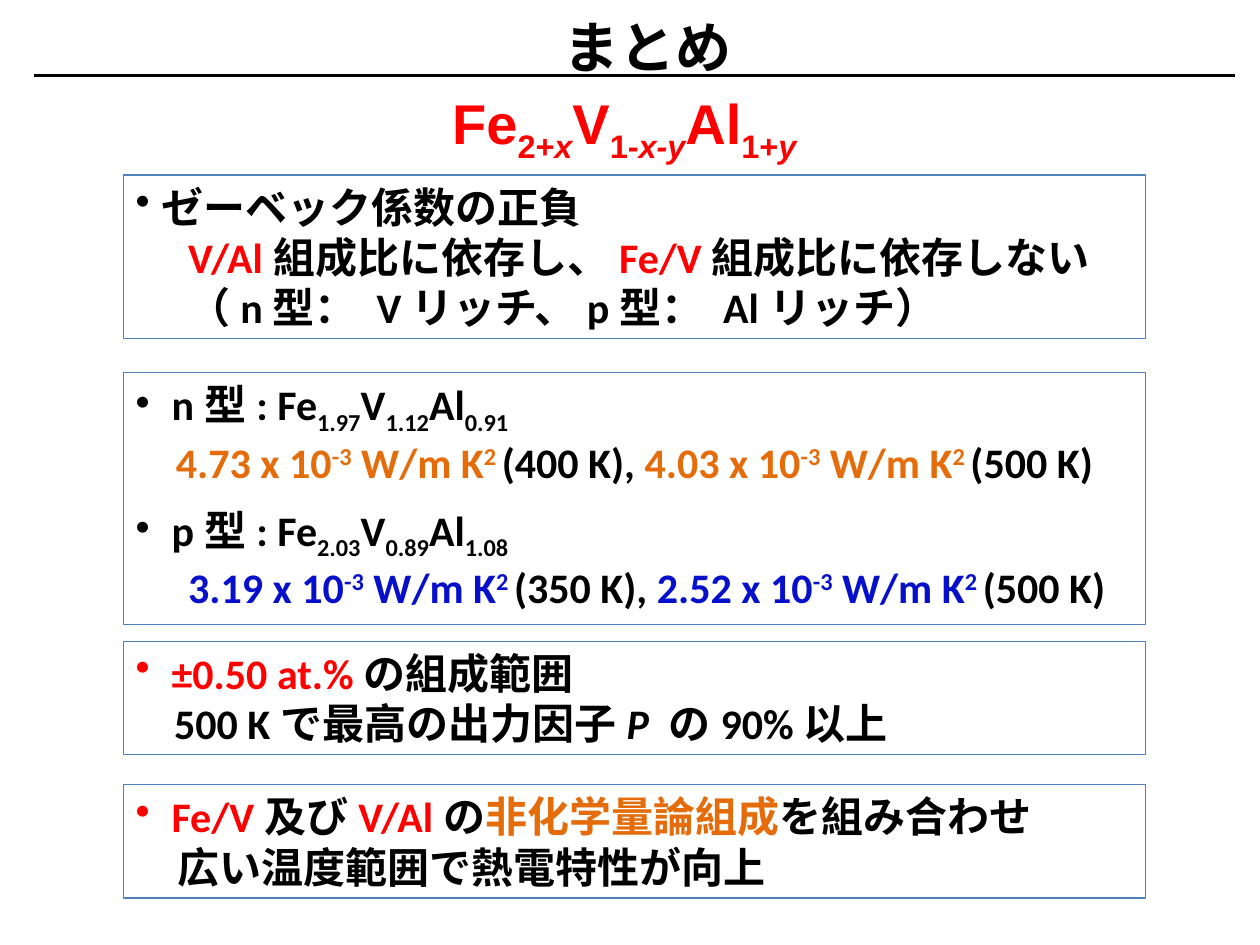
from lxml import etree
from pptx import Presentation
from pptx.dml.color import RGBColor
from pptx.enum.shapes import MSO_CONNECTOR, MSO_SHAPE
from pptx.enum.text import MSO_ANCHOR, PP_ALIGN
from pptx.oxml.ns import qn
from pptx.util import Pt

STRAIGHT = MSO_CONNECTOR.STRAIGHT
RECTANGLE = MSO_SHAPE.RECTANGLE
TOP = MSO_ANCHOR.TOP
LEFT = PP_ALIGN.LEFT

BLACK = "000000"
RED = "FF0000"
ORANGE = "E46C0A"
BLUE = "060FCA"
BORDER = "4F81BD"

SUBSCRIPT = -25000
SUPERSCRIPT = 30000

BOX_LEFT = 70.5
BOX_WIDTH = 584


def color(hex_string):
    return RGBColor.from_string(hex_string)


def text(content, tint=None, baseline=0, italic=False):
    return content, tint, baseline, italic


def line(runs, indent, bullet=False, space_before=0):
    return runs, indent, bullet, space_before


def composition(kind, iron, vanadium, aluminium):
    runs = [text(f"{kind}型: ")]
    for element, amount in (("Fe", iron), ("V", vanadium), ("Al", aluminium)):
        runs += [text(element), text(amount, baseline=SUBSCRIPT)]
    return runs


def power_factor(value, temperature, tint):
    return [
        text(f"{value} x 10", tint),
        text("-3", tint, SUPERSCRIPT),
        text(" W/m K", tint),
        text("2 ", tint, SUPERSCRIPT),
        text(f"({temperature} K)"),
    ]


def format_frame(frame):
    frame.word_wrap = True
    frame.vertical_anchor = TOP
    frame.margin_left = frame.margin_right = Pt(7.2)
    frame.margin_top = frame.margin_bottom = Pt(3.6)


def fill_paragraph(paragraph, runs, size, font_name="Calibri", tint=BLACK):
    paragraph.alignment = LEFT
    paragraph.font.name = font_name
    paragraph.font.size = Pt(size)
    paragraph.font.bold = True
    paragraph.font.color.rgb = color(tint)
    for content, run_tint, baseline, italic in runs:
        run = paragraph.add_run()
        run.text = content
        if run_tint:
            run.font.color.rgb = color(run_tint)
        if italic:
            run.font.italic = True
        if baseline:
            run.font._element.set("baseline", str(baseline))


def set_indent(paragraph, indent, bullet):
    properties = paragraph._p.get_or_add_pPr()
    properties.set("marL", str(Pt(indent)))
    properties.set("indent", str(Pt(-indent if bullet else 0)))
    if bullet:
        etree.SubElement(properties, qn("a:buChar")).set("char", "•")
    else:
        etree.SubElement(properties, qn("a:buNone"))


def add_title(slide, content):
    title = slide.shapes.title
    title.left, title.top, title.width, title.height = Pt(314.6), Pt(3.6), Pt(164), Pt(46)
    format_frame(title.text_frame)
    fill_paragraph(title.text_frame.paragraphs[0], [text(content)], 32)


def add_rule(slide):
    rule = slide.shapes.add_connector(STRAIGHT, Pt(19.5), Pt(43.2), Pt(705.6), Pt(43.2))
    rule.line.color.rgb = color(BLACK)
    rule.line.width = Pt(1.75)
    etree.SubElement(rule._element.spPr, qn("a:effectLst"))


def add_formula(slide, runs):
    box = slide.shapes.add_textbox(Pt(251.3), Pt(46.8), Pt(238.3), Pt(51))
    format_frame(box.text_frame)
    fill_paragraph(box.text_frame.paragraphs[0], runs, 32, "Arial", RED)


def add_summary_box(slide, top, height, lines):
    box = slide.shapes.add_shape(RECTANGLE, Pt(BOX_LEFT), Pt(top), Pt(BOX_WIDTH), Pt(height))
    box.shadow.inherit = False
    box.fill.background()
    box.line.color.rgb = color(BORDER)
    box.line.width = Pt(0.75)
    frame = box.text_frame
    format_frame(frame)
    for index, (runs, indent, bullet, space_before) in enumerate(lines):
        paragraph = frame.add_paragraph() if index else frame.paragraphs[0]
        if space_before:
            paragraph.space_before = Pt(space_before)
        set_indent(paragraph, indent, bullet)
        fill_paragraph(paragraph, runs, 24)


def main():
    presentation = Presentation()
    presentation.slide_width = Pt(720)
    presentation.slide_height = Pt(540)
    slide = presentation.slides.add_slide(presentation.slide_layouts[5])

    add_rule(slide)
    add_title(slide, "まとめ")
    add_formula(slide, [
        text("Fe"),
        text("2+", baseline=SUBSCRIPT),
        text("x", baseline=SUBSCRIPT, italic=True),
        text("V"),
        text("1-", baseline=SUBSCRIPT),
        text("x-y", baseline=SUBSCRIPT, italic=True),
        text("Al"),
        text("1+", baseline=SUBSCRIPT),
        text("y", baseline=SUBSCRIPT, italic=True),
    ])

    add_summary_box(slide, 100, 93.6, [
        line([text("ゼーベック係数の正負")], 14.5, bullet=True),
        line([
            text("V/Al", RED), text("組成比に依存し、"),
            text("Fe/V", RED), text("組成比に依存しない"),
        ], 30),
        line([text("（n型： Vリッチ、p型： Alリッチ）")], 30),
    ])
    add_summary_box(slide, 213, 144, [
        line(composition("n", "1.97", "1.12", "0.91"), 20.5, bullet=True),
        line([
            *power_factor("4.73", 400, ORANGE), text(", "),
            *power_factor("4.03", 500, ORANGE),
        ], 23),
        line(composition("p", "2.03", "0.89", "1.08"), 20.5, bullet=True, space_before=10),
        line([
            *power_factor("3.19", 350, BLUE), text(", "),
            *power_factor("2.52", 500, BLUE),
        ], 30),
    ])
    add_summary_box(slide, 366.4, 64.8, [
        line([text("±0.50 at.%", RED), text("の組成範囲")], 20.5, bullet=True),
        line([
            text("500 Kで最高の出力因子"), text("P ", italic=True), text("の90%以上"),
        ], 22),
    ])
    add_summary_box(slide, 448.4, 64.8, [
        line([
            text("Fe/V", RED), text("及び"), text("V/Al", RED), text("の"),
            text("非化学量論組成", ORANGE), text("を組み合わせ"),
        ], 20.5, bullet=True),
        line([text("広い温度範囲で熱電特性が向上")], 24),
    ])

    presentation.save("out.pptx")


if __name__ == "__main__":
    main()
